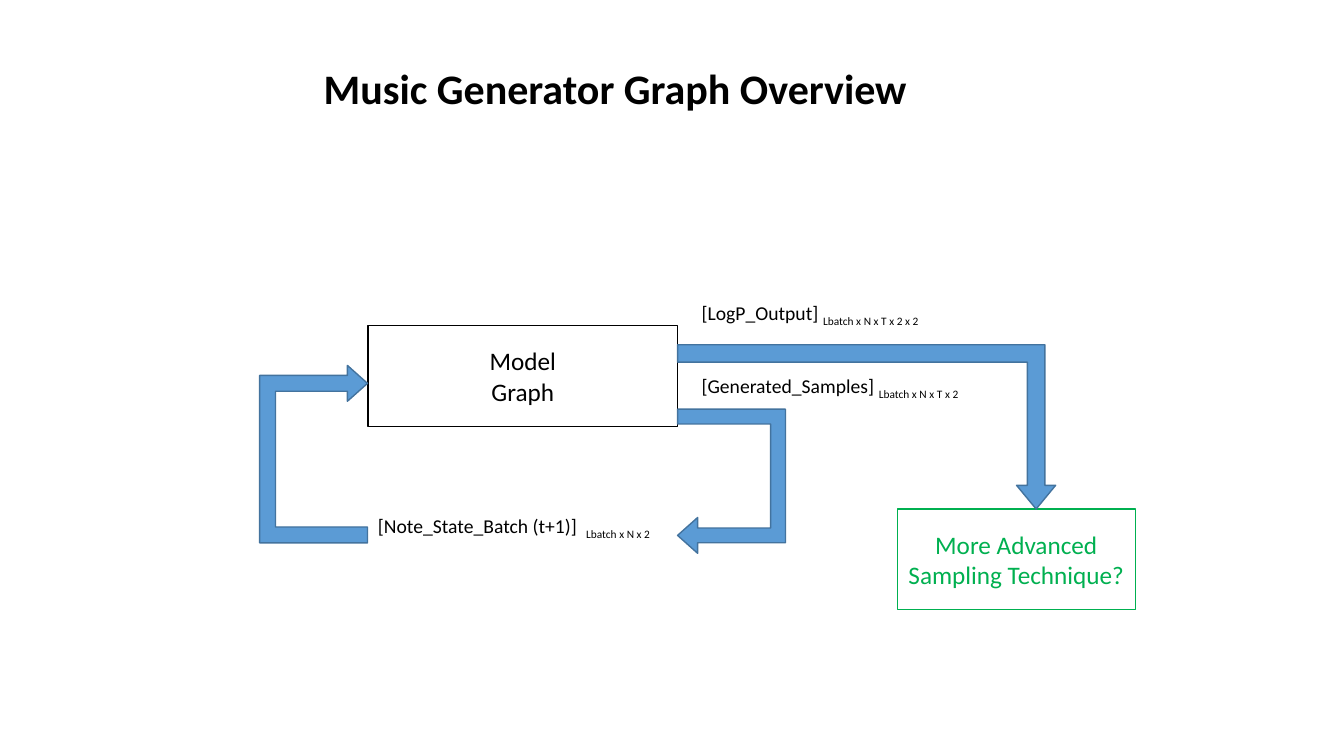
from pptx import Presentation
from pptx import util as u
from pptx.dml.color import RGBColor
from pptx.enum import shapes, text

PX = 9144  # EMU per px, 100 px to the inch
THEME = {
    "font": "Calibri",
    "ink": RGBColor.from_string("000000"),
    "paper": RGBColor.from_string("FFFFFF"),
    "green": RGBColor.from_string("00B050"),
    "arrow": RGBColor.from_string("5B9BD5"),
    "arrow_edge": RGBColor.from_string("43739E"),
    "title_size": u.Pt(30),
    "box_size": u.Pt(18),
    "label_size": u.Pt(14),
}

deck = Presentation()
deck.slide_width, deck.slide_height = u.Emu(1333 * PX), u.Emu(750 * PX)
slide = deck.slides.add_slide(deck.slide_layouts[5])


def add_run(paragraph, words, size, color, bold=False):
    run = paragraph.add_run()
    run.text = words
    for name, value in {"name": THEME["font"], "size": size, "bold": bold}.items():
        setattr(run.font, name, value)
    run.font.color.rgb = color
    return run


def add_figure(kind, place, fill, edge):
    figure = slide.shapes.add_shape(kind, *[n * PX for n in place])
    figure.shadow.inherit = False
    figure.fill.solid()
    figure.fill.fore_color.rgb = fill
    figure.line.color.rgb = edge
    figure.line.width = u.Pt(1)
    return figure


# Title
title = slide.shapes.title
title_place = {"left": 311, "top": 57, "width": 604, "height": 61}
for name, value in title_place.items():
    setattr(title, name, value * PX)
title_format = {
    "word_wrap": False,
    "auto_size": text.MSO_AUTO_SIZE.SHAPE_TO_FIT_TEXT,
    "vertical_anchor": text.MSO_ANCHOR.TOP,
}
for name, value in title_format.items():
    setattr(title.text_frame, name, value)
heading = title.text_frame.paragraphs[0]
heading.alignment = text.PP_ALIGN.LEFT
add_run(heading, "Music Generator Graph Overview", THEME["title_size"], THEME["ink"], True)

# Boxes
boxes = [
    ((365, 323, 307, 100), ["Model", "Graph"], THEME["ink"]),
    ((890, 505, 236, 100), ["More Advanced Sampling Technique?"], THEME["green"]),
]
for place, lines, color in boxes:
    frame = add_figure(shapes.MSO_SHAPE.RECTANGLE, place, THEME["paper"], color).text_frame
    frame.word_wrap = True
    frame.vertical_anchor = text.MSO_ANCHOR.MIDDLE
    for i, line in enumerate(lines):
        paragraph = frame.add_paragraph() if i else frame.paragraphs[0]
        paragraph.alignment = text.PP_ALIGN.CENTER
        add_run(paragraph, line, THEME["box_size"], color)

# Block arrows: samples back to state, state into the model, output to sampling
U_TURN, BENT = shapes.MSO_SHAPE.U_TURN_ARROW, shapes.MSO_SHAPE.BENT_ARROW
arrows = [
    (U_TURN, (654, 424, 143, 107), 90, [0.137, 0.166, 0.186, 0, 1]),
    (U_TURN, (223, 397, 176, 107), 270, [0.147, 0.166, 0.186, 0, 1]),
    (BENT, (778, 236, 163, 375), 90, [0.106, 0.119, 0.144, 0]),
]
for kind, place, turn, bends in arrows:
    arrow = add_figure(kind, place, THEME["arrow"], THEME["arrow_edge"])
    arrow.rotation = turn
    for i, bend in enumerate(bends):
        arrow.adjustments[i] = bend

# Tensor labels with their dimensions as subscripts
labels = [
    ((365, 505, 310, 34), "[Note_State_Batch (t+1)]  ", "Lbatch x N x 2"),
    ((686, 294, 306, 34), "[LogP_Output] ", "Lbatch x N x T x 2 x 2"),
    ((686, 366, 314, 34), "[Generated_Samples] ", "Lbatch x N x T x 2"),
]
for place, tensor, dimensions in labels:
    frame = slide.shapes.add_textbox(*[n * PX for n in place]).text_frame
    frame.word_wrap = True
    frame.auto_size = text.MSO_AUTO_SIZE.SHAPE_TO_FIT_TEXT
    add_run(frame.paragraphs[0], tensor, THEME["label_size"], THEME["ink"])
    subscript = add_run(frame.paragraphs[0], dimensions, THEME["label_size"], THEME["ink"])
    subscript.font._element.set("baseline", "-25000")

deck.save("out.pptx")
